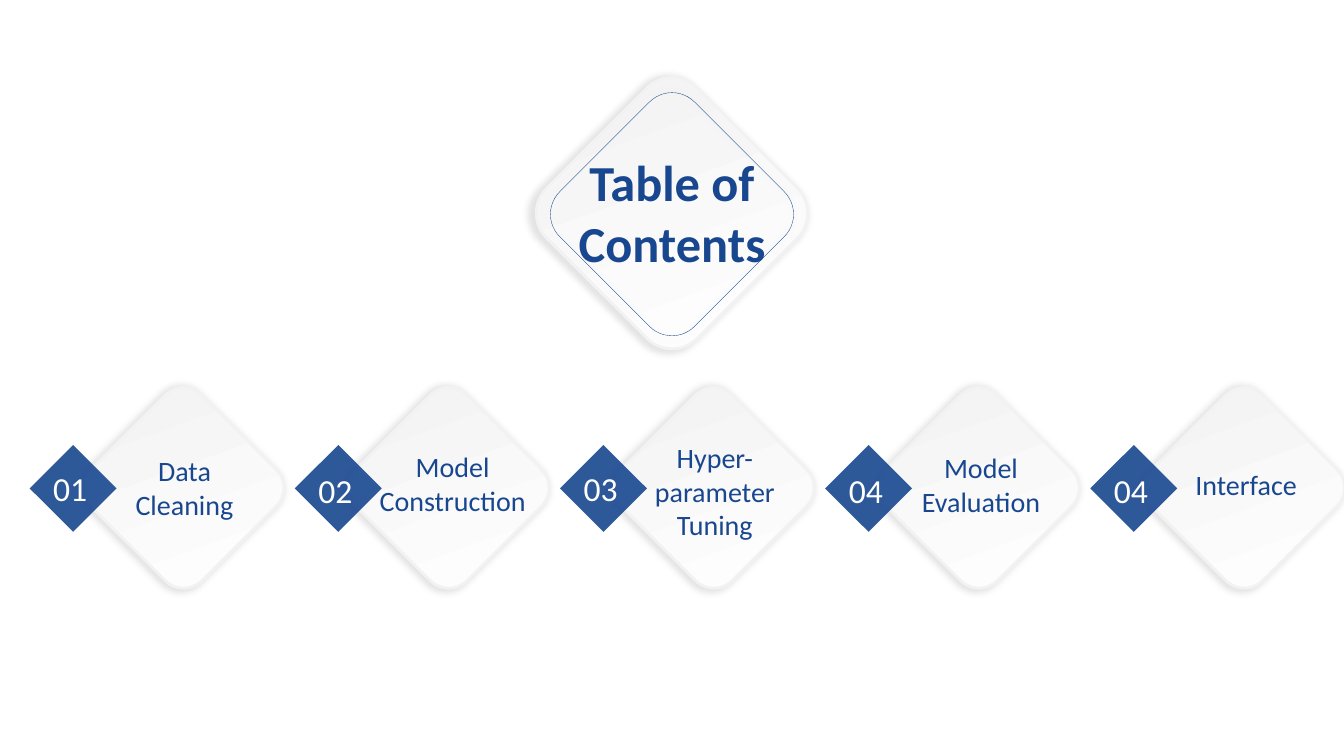
from lxml import etree
from pptx import Presentation
from pptx.dml.color import RGBColor
from pptx.enum.shapes import MSO_SHAPE
from pptx.enum.text import MSO_ANCHOR, MSO_AUTO_SIZE, PP_ALIGN
from pptx.oxml.ns import qn
from pptx.util import Pt

ROUNDED = MSO_SHAPE.ROUNDED_RECTANGLE
SQUARE = MSO_SHAPE.RECTANGLE
TOP = MSO_ANCHOR.TOP
FIXED = MSO_AUTO_SIZE.NONE
CENTER = PP_ALIGN.CENTER
LEFT = PP_ALIGN.LEFT

TITLE = ["Table of", "Contents"]
SECTIONS = [
    {"number": "01", "number_top": 459, "lines": ["Data Cleaning"], "label": (-3, 445, 164, 77)},
    {"number": "02", "number_top": 461, "lines": ["Model", "Construction"], "label": (-10, 441, 184, 77)},
    {"number": "03", "number_top": 459, "lines": ["Hyper- parameter", "Tuning"], "label": (-3, 432, 164, 111)},
    {"number": "04", "number_top": 461, "lines": ["Model", "Evaluation"], "label": (-2, 442, 164, 77)},
    {"number": "04", "number_top": 461, "lines": ["Interface"], "label": (-2, 459, 164, 44)},
]
FONT = "Calibri"
BLUE, WHITE, GREY = "18478F", "FFFFFF", "F2F2F2"
PX = 9144
FIRST_LEFT, PITCH = 104, 263
TAG_OFFSET, NUMBER_OFFSET = -62, -61


def rgb(color):
    return RGBColor.from_string(color)


def emu(*lengths):
    return [length * PX for length in lengths]


def add_diamond(kind, left, top, side, rotation):
    diamond = slide.shapes.add_shape(kind, *emu(left, top, side, side))
    diamond.rotation = rotation
    diamond.shadow.inherit = False
    return diamond


def add_shadow(shape):
    effects = shape._element.spPr.find(qn("a:effectLst"))
    shadow = etree.SubElement(effects, qn("a:outerShdw"), blurRad=str(Pt(5)), sx="102000",
                              sy="102000", algn="r", rotWithShape="0")
    tint = etree.SubElement(shadow, qn("a:srgbClr"), val="000000")
    etree.SubElement(tint, qn("a:alpha"), val="11000")


def add_card(left, top, side):
    card = add_diamond(ROUNDED, left, top, side, 45)
    card.fill.gradient()
    card.fill.gradient_angle = 110
    for stop, color, position in zip(card.fill.gradient_stops, (WHITE, GREY), (0, 1)):
        stop.color.rgb = rgb(color)
        stop.position = position
    card._element.spPr.find(qn("a:gradFill")).set("rotWithShape", "0")
    card.line.color.rgb = rgb(GREY)
    card.line.width = Pt(2)
    add_shadow(card)


def add_frame(left, top, side):
    frame = add_diamond(ROUNDED, left, top, side, 45)
    frame.fill.background()
    frame.line.color.rgb = rgb(BLUE)
    frame.line.width = Pt(0.25)
    add_shadow(frame)


def add_tag(left, top, side):
    tag = add_diamond(SQUARE, left, top, side, 225)
    tag.fill.solid()
    tag.fill.fore_color.rgb = rgb(BLUE)
    tint = tag._element.spPr.find(qn("a:solidFill"))[0]
    etree.SubElement(tint, qn("a:alpha"), val="90000")
    tag.line.fill.background()


def write(box, lines, size, color, align=CENTER, bold=False, wrap=True):
    frame = box.text_frame
    frame.text = "\n".join(lines)
    frame.word_wrap = wrap
    frame.auto_size = FIXED
    frame.vertical_anchor = TOP
    for para in frame.paragraphs:
        para.alignment = align
        para.line_spacing = 1.0
        for span in para.runs:
            span.font.name = FONT
            span.font.size = Pt(size)
            span.font.bold = bold
            span.font.color.rgb = rgb(color)


deck = Presentation()
deck.slide_width, deck.slide_height = emu(1333, 750)
slide = deck.slides.add_slide(deck.slide_layouts[5])

add_card(561, 106, 211)
add_frame(572, 118, 189)
title = slide.shapes.title
title.left, title.top, title.width, title.height = emu(541, 145, 251, 131)
write(title, TITLE, 36, BLUE, bold=True)
slide.shapes._spTree.append(title._element)

for index, section in enumerate(SECTIONS):
    left = FIRST_LEFT + index * PITCH
    add_card(left, 406, 156)
    add_tag(left + TAG_OFFSET, 454, 61)
    offset, top, width, height = section["label"]
    label = slide.shapes.add_textbox(*emu(left + offset, top, width, height))
    write(label, section["lines"], 20, BLUE)
    number = slide.shapes.add_textbox(*emu(left + NUMBER_OFFSET, section["number_top"], 54, 50))
    write(number, [section["number"]], 24, WHITE, align=LEFT, wrap=False)

deck.save("out.pptx")
